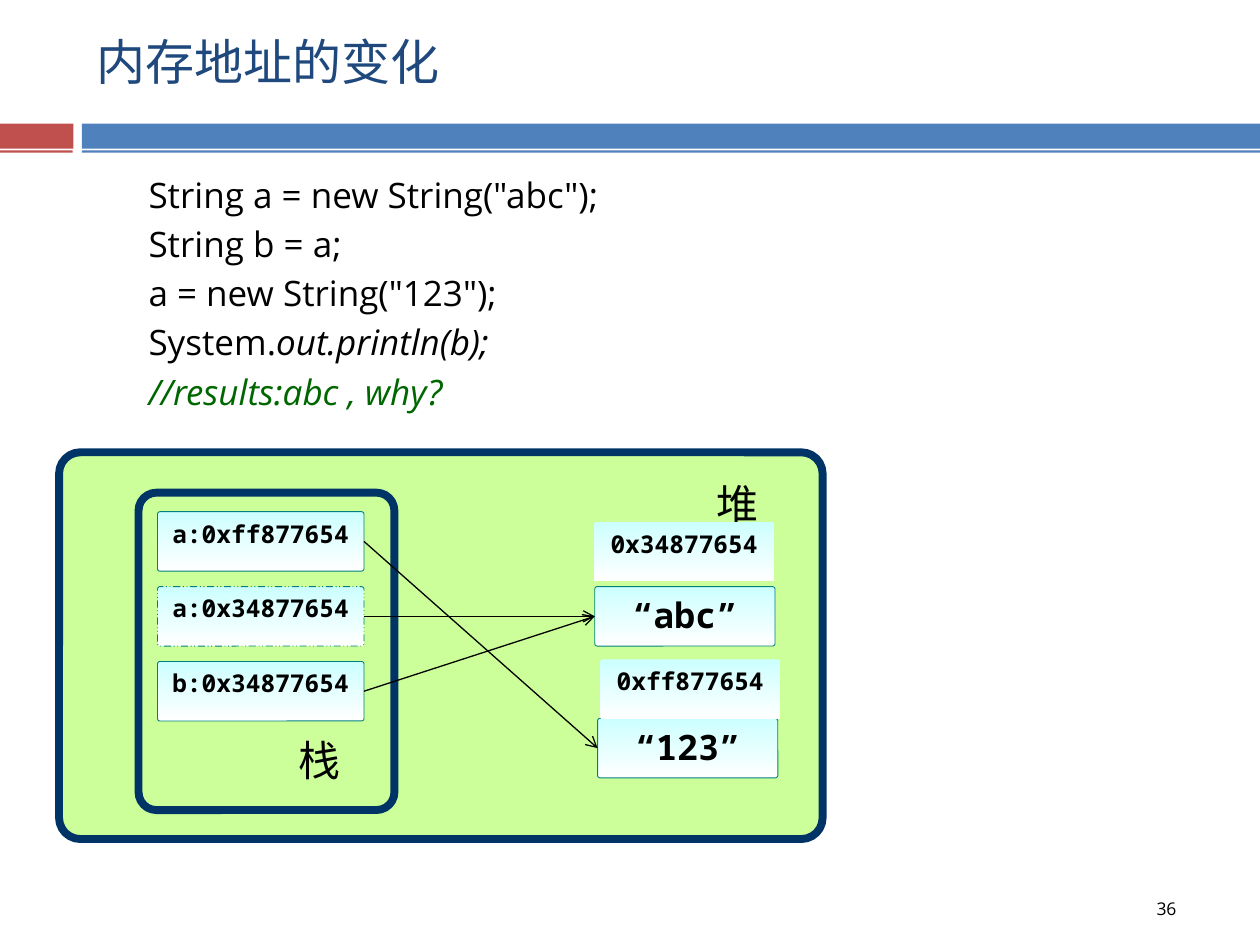
from lxml.etree import SubElement
from pptx import Presentation
from pptx.dml.color import RGBColor
from pptx.enum.dml import MSO_LINE
from pptx.enum.shapes import MSO_CONNECTOR, MSO_SHAPE
from pptx.enum.text import MSO_ANCHOR, PP_ALIGN
from pptx.oxml.ns import qn
from pptx.util import Pt

COLORS = {name: RGBColor.from_string(value) for name, value in {
    "red": "C0504D", "blue": "4F81BD", "title": "1F497D", "black": "000000",
    "comment": "006600", "area": "CCFF99", "border": "003366",
    "cell": "CCFFFF", "white": "FFFFFF", "edge": "008080",
}.items()}

presentation = Presentation()
presentation.slide_width, presentation.slide_height = Pt(720), Pt(540)
slide = presentation.slides.add_slide(presentation.slide_layouts[6])


def add_box(place, fill=None, line=None, width=0.5, radius=None):
    """Add a rectangle, rounded if a radius is given; no fill means the cell gradient."""
    kind = MSO_SHAPE.RECTANGLE if radius is None else MSO_SHAPE.ROUNDED_RECTANGLE
    shape = slide.shapes.add_shape(kind, *map(Pt, place))
    shape.shadow.inherit = False
    if radius is not None:
        shape.adjustments[0] = radius
    if fill:
        shape.fill.solid()
        shape.fill.fore_color.rgb = COLORS[fill]
    else:
        shape.fill.gradient()
        shape.fill.gradient_angle = 270
        for stop, color in zip(shape.fill.gradient_stops, ("cell", "white")):
            stop.color.rgb = COLORS[color]
    if line:
        shape.line.color.rgb = COLORS[line]
        shape.line.width = Pt(width)
    else:
        shape.line.fill.background()
    return shape


def write(shape, lines, font, size, wrap=True, anchor=MSO_ANCHOR.TOP, **paragraph_format):
    """Write lines, each a list of (text, font changes) runs, into a shape."""
    frame = shape.text_frame
    frame.word_wrap, frame.vertical_anchor = wrap, anchor
    for index, runs in enumerate(lines):
        paragraph = frame.add_paragraph() if index else frame.paragraphs[0]
        for name, value in paragraph_format.items():
            setattr(paragraph, name, value)
        for text, changes in runs:
            run = paragraph.add_run()
            run.text = text
            values = {"name": font, "size": Pt(size), "color": "black"} | changes
            run.font.color.rgb = COLORS[values.pop("color")]
            for name, value in values.items():
                setattr(run.font, name, value)


# Header bars
for top, height, red_left in ((70.6, 14.4, 0), (85.9, 1.4, -0.4)):
    add_box((red_left, top, 42, height), "red")
    add_box((46.8, top, 673.2, height), "blue")

# Title, code and page number
title = slide.shapes.add_textbox(Pt(48.2), Pt(0.7), Pt(642), Pt(67.7))
write(title, [[("内存地址的变化", {"color": "title"})]], "Open Sans", 28,
      anchor=MSO_ANCHOR.MIDDLE)
code = slide.shapes.add_textbox(Pt(77.8), Pt(98.6), Pt(642), Pt(382))
write(code, [
    [('String a = new String("abc");', {})],
    [("String b = a;", {})],
    [('a = new String("123");', {})],
    [("System.", {}), ("out.println(b);", {"italic": True})],
    [("//results:abc , why?", {"italic": True, "color": "comment"})],
], "Open Sans", 20, space_before=Pt(7), line_spacing=0.88)
page_number = slide.shapes.add_textbox(Pt(653.8), Pt(509.8), Pt(30.2), Pt(26.6))
write(page_number, [[("36", {})]], "Open Sans", 10)

# Heap with the stack inside it
add_box((33.8, 258.5, 436.3, 221), "area", "border", 4.5, 0.055)
add_box((79.2, 281.5, 146.2, 181.4), "area", "border", 4.5, 0.07)
for name, left, top in (("栈", 163.4, 416.2), ("堆", 402.5, 270)):
    label = slide.shapes.add_textbox(Pt(left), Pt(top), Pt(38.2), Pt(36))
    write(label, [[(name, {})]], "Times New Roman", 24, wrap=False)

# Memory cells: key, text, left, top, width, text size, edge
STACK_TOP, STACK_STEP = 292.4, 42.8
cells = [(key, text, 90, STACK_TOP + STACK_STEP * row, 118, 14, "edge")
         for row, (key, text) in enumerate((("new a", "a:0xff877654"),
                                            ("old a", "a:0x34877654"),
                                            ("b", "b:0x34877654")))]
cells += [
    ("abc", "“abc”", 339.9, STACK_TOP + STACK_STEP, 103, 20, "edge"),
    ("123", "“123”", 341.5, 410.5, 103, 20, "edge"),
    ("abc address", "0x34877654", 339.5, 298.2, 103, 14, None),
    ("123 address", "0xff877654", 343, 376.8, 103, 14, None),
]
boxes = {}
for key, text, left, top, width, size, edge in cells:
    boxes[key] = add_box((left, top, width, 34), line=edge, radius=0.041)
    write(boxes[key], [[(text, {"bold": True})]], "Noto Sans Mono", size,
          alignment=PP_ALIGN.CENTER)
boxes["old a"].line.dash_style = MSO_LINE.DASH_DOT_DOT

# References from the stack to the heap
RIGHT_SITE, LEFT_SITE = 3, 1
for variable, value in (("old a", "abc"), ("b", "abc"), ("new a", "123")):
    arrow = slide.shapes.add_connector(MSO_CONNECTOR.STRAIGHT, 0, 0, 0, 0)
    arrow.begin_connect(boxes[variable], RIGHT_SITE)
    arrow.end_connect(boxes[value], LEFT_SITE)
    arrow.line.color.rgb = COLORS["black"]
    arrow.line.width = Pt(0.75)
    properties = arrow._element.spPr
    SubElement(properties.find(qn("a:ln")), qn("a:tailEnd"), type="arrow")
    SubElement(properties, qn("a:effectLst"))

presentation.save("out.pptx")
